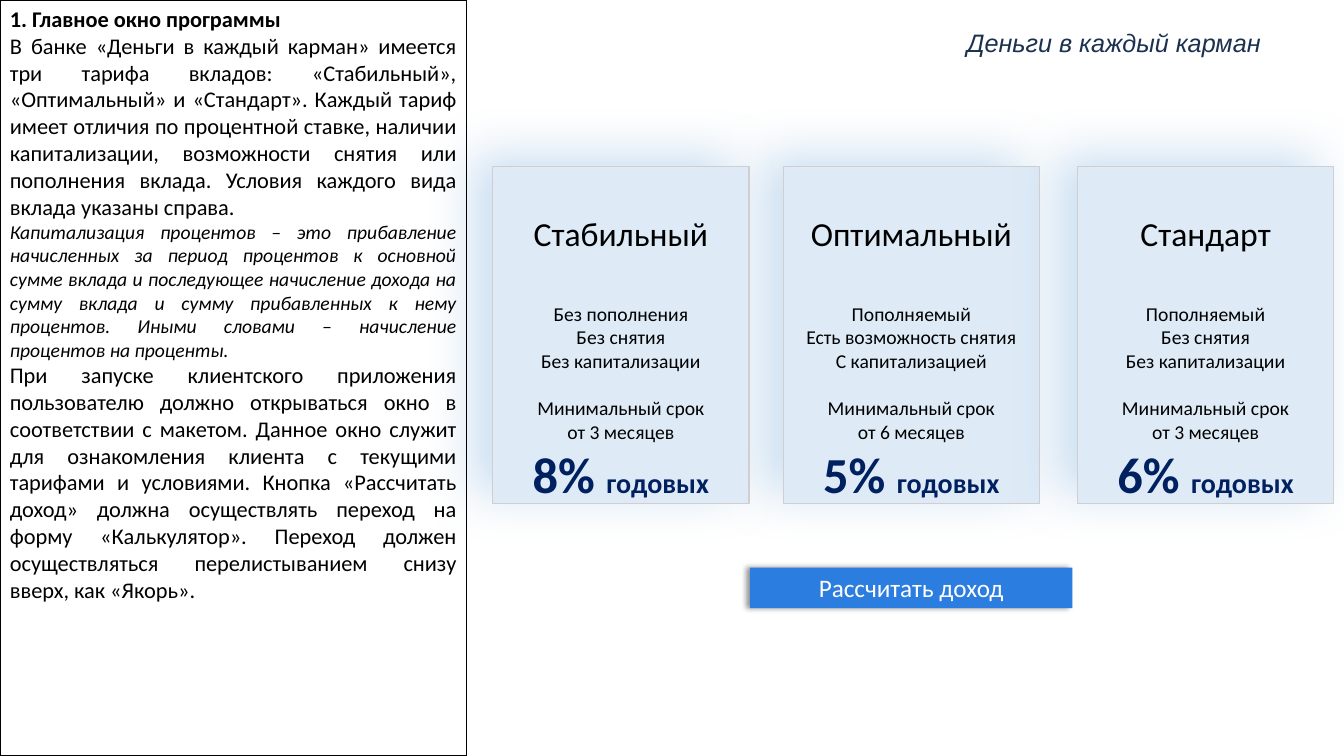
from dataclasses import dataclass
from typing import Optional

import pptx
import pptx.dml.color
import pptx.enum.shapes
import pptx.enum.text
import pptx.oxml
import pptx.oxml.ns
import pptx.util

Pt = pptx.util.Pt
RGB = pptx.dml.color.RGBColor
Align = pptx.enum.text.PP_ALIGN
Anchor = pptx.enum.text.MSO_ANCHOR


@dataclass(frozen=True)
class Theme:
    """Colours, fonts and type sizes of the slide."""
    ink: str = "000000"
    card: str = "DEEBF7"
    card_line: str = "D0CECE"
    glow: str = "BDD7EE"
    rate: str = "002060"
    button: str = "2C7DE0"
    button_text: str = "FFFFFF"
    brand: str = "1B3150"
    body_font: str = "Calibri"
    brand_font: str = "Arial"
    title: float = 24
    label: float = 18
    body: float = 16
    detail: float = 14
    percent: float = 36
    yearly: float = 20
    line_height: float = 1.22


@dataclass(frozen=True)
class Shadow:
    """Outer shadow: colour, opacity in %, blur and distance in points, degrees."""
    color: str
    opacity: int
    blur: float
    distance: float
    angle: int


@dataclass(frozen=True)
class Box:
    """Place and size in points."""
    left: float
    top: float
    width: float
    height: float


@dataclass(frozen=True)
class Tariff:
    """One deposit card."""
    name: str
    left: float
    text_width: float
    conditions: tuple[str, ...]
    months: int
    rate: int


@dataclass(frozen=True)
class Note:
    """One paragraph of the description panel."""
    text: str
    size: float
    bold: bool = False
    italic: bool = False


THEME = Theme()
CARD_TOP, CARD_WIDTH, CARD_HEIGHT = 119, 183, 240.5
CARD_SHADOW = Shadow(THEME.glow, 80, 35, 16, 209)
BUTTON_SHADOW = Shadow(THEME.ink, 40, 4, 3, 180)

TARIFFS = (
    Tariff("Оптимальный", 559.5, 169,
           ("Пополняемый", "Есть возможность снятия", "С капитализацией"), 6, 5),
    Tariff("Стандарт", 769.7, 147,
           ("Пополняемый", "Без снятия", "Без капитализации"), 3, 6),
    Tariff("Стабильный", 352, 156,
           ("Без пополнения", "Без снятия", "Без капитализации"), 3, 8),
)

NOTES = (
    Note("1. Главное окно программы", THEME.body, bold=True),
    Note("В банке «Деньги в каждый карман» имеется три тарифа вкладов: "
         "«Стабильный», «Оптимальный» и «Стандарт». Каждый тариф имеет отличия "
         "по процентной ставке, наличии капитализации, возможности снятия или "
         "пополнения вклада. Условия каждого вида вклада указаны справа.", THEME.body),
    Note("Капитализация процентов – это прибавление начисленных за период "
         "процентов к основной сумме вклада и последующее начисление дохода на "
         "сумму вклада и сумму прибавленных к нему процентов. Иными словами – "
         "начисление процентов на проценты.", THEME.detail, italic=True),
    Note("При запуске клиентского приложения пользователю должно открываться "
         "окно в соответствии с макетом. Данное окно служит для ознакомления "
         "клиента с текущими тарифами и условиями. Кнопка «Рассчитать доход» "
         "должна осуществлять переход на форму «Калькулятор». Переход должен "
         "осуществляться перелистыванием снизу вверх, как «Якорь».", THEME.body),
)


def add_shadow(sp, shadow: Shadow) -> None:
    """Give a shape an outer shadow."""
    effects = sp._element.spPr.find(pptx.oxml.ns.qn("a:effectLst"))
    effects.append(pptx.oxml.parse_xml(
        f'<a:outerShdw {pptx.oxml.ns.nsdecls("a")} blurRad="{Pt(shadow.blur)}" '
        f'dist="{Pt(shadow.distance)}" dir="{shadow.angle * 60000}" algn="ctr" '
        f'rotWithShape="0"><a:srgbClr val="{shadow.color}">'
        f'<a:alpha val="{shadow.opacity * 1000}"/></a:srgbClr></a:outerShdw>'))


def add_rect(slide, box: Box, fill: Optional[str] = None, line: Optional[str] = None,
             shadow: Optional[Shadow] = None):
    """Add a rectangle; a missing fill or line is left out."""
    sp = slide.shapes.add_shape(pptx.enum.shapes.MSO_SHAPE.RECTANGLE, Pt(box.left),
                                Pt(box.top), Pt(box.width), Pt(box.height))
    sp.shadow.inherit = False
    if fill:
        sp.fill.solid()
        sp.fill.fore_color.rgb = RGB.from_string(fill)
    else:
        sp.fill.background()
    if line:
        sp.line.color.rgb = RGB.from_string(line)
        sp.line.width = Pt(1)
    else:
        sp.line.fill.background()
    if shadow:
        add_shadow(sp, shadow)
    return sp


def add_text_box(slide, box: Box):
    """Add a wrapping text box and return its text frame."""
    sp = slide.shapes.add_textbox(Pt(box.left), Pt(box.top), Pt(box.width), Pt(box.height))
    sp.text_frame.word_wrap = True
    return sp.text_frame


def add_paragraph(tf, text: str, size: float, color: str = THEME.ink,
                  font: str = THEME.body_font, align=Align.CENTER,
                  bold: bool = False, italic: bool = False):
    """Write a paragraph, using the frame's first one while it is empty."""
    p = tf.paragraphs[0] if not tf.text else tf.add_paragraph()
    p.add_run().text = text
    p.alignment = align
    p.font.size, p.font.name = Pt(size), font
    p.font.bold, p.font.italic = bold, italic
    p.font.color.rgb = RGB.from_string(color)
    return p


def add_tariff_text(slide, tariff: Tariff) -> None:
    """Write name, conditions, term and rate centred on the tariff's card."""
    left = tariff.left + (CARD_WIDTH - tariff.text_width) / 2
    tf = add_text_box(slide, Box(left, 119.5, tariff.text_width, 245))
    tf.margin_top = Pt(3.6 + THEME.title * THEME.line_height)
    detail_line = THEME.detail * THEME.line_height
    p = add_paragraph(tf, tariff.name, THEME.title)
    p.space_after = Pt(2 * detail_line)
    for condition in tariff.conditions:
        p = add_paragraph(tf, condition, THEME.detail)
    p.space_after = Pt(detail_line)
    for term in ("Минимальный срок", f"от {tariff.months} месяцев"):
        add_paragraph(tf, term, THEME.detail)
    p = add_paragraph(tf, f"{tariff.rate}% ", THEME.percent, THEME.rate, bold=True)
    r = p.add_run()
    r.text = "годовых"
    r.font.size = Pt(THEME.yearly)


def add_button(slide) -> None:
    """Add the calculation button."""
    sp = add_rect(slide, Box(535.7, 405.4, 230.4, 29), THEME.button, shadow=BUTTON_SHADOW)
    sp.text_frame.vertical_anchor = Anchor.MIDDLE
    add_paragraph(sp.text_frame, "Рассчитать доход", THEME.label, THEME.button_text)


def add_panel(slide) -> None:
    """Add the outlined description panel."""
    tf = add_rect(slide, Box(0, 0, 333.4, 540), line=THEME.ink).text_frame
    tf.word_wrap = True
    tf.vertical_anchor = Anchor.TOP
    for note in NOTES:
        add_paragraph(tf, note.text, note.size, align=Align.JUSTIFY,
                      bold=note.bold, italic=note.italic)


def main() -> None:
    """Build and save the slide."""
    prs = pptx.Presentation()
    prs.slide_width, prs.slide_height = Pt(960), Pt(540)
    slide = prs.slides.add_slide(prs.slide_layouts[6])
    for tariff in TARIFFS:
        add_rect(slide, Box(tariff.left, CARD_TOP, CARD_WIDTH, CARD_HEIGHT),
                 THEME.card, THEME.card_line, CARD_SHADOW)
    for tariff in TARIFFS:
        add_tariff_text(slide, tariff)
    add_button(slide)
    add_panel(slide)
    brand = add_text_box(slide, Box(640.8, 15.8, 309.6, 29))
    add_paragraph(brand, "Деньги в каждый карман", THEME.label, THEME.brand,
                  THEME.brand_font, italic=True)
    prs.save("out.pptx")


main()
